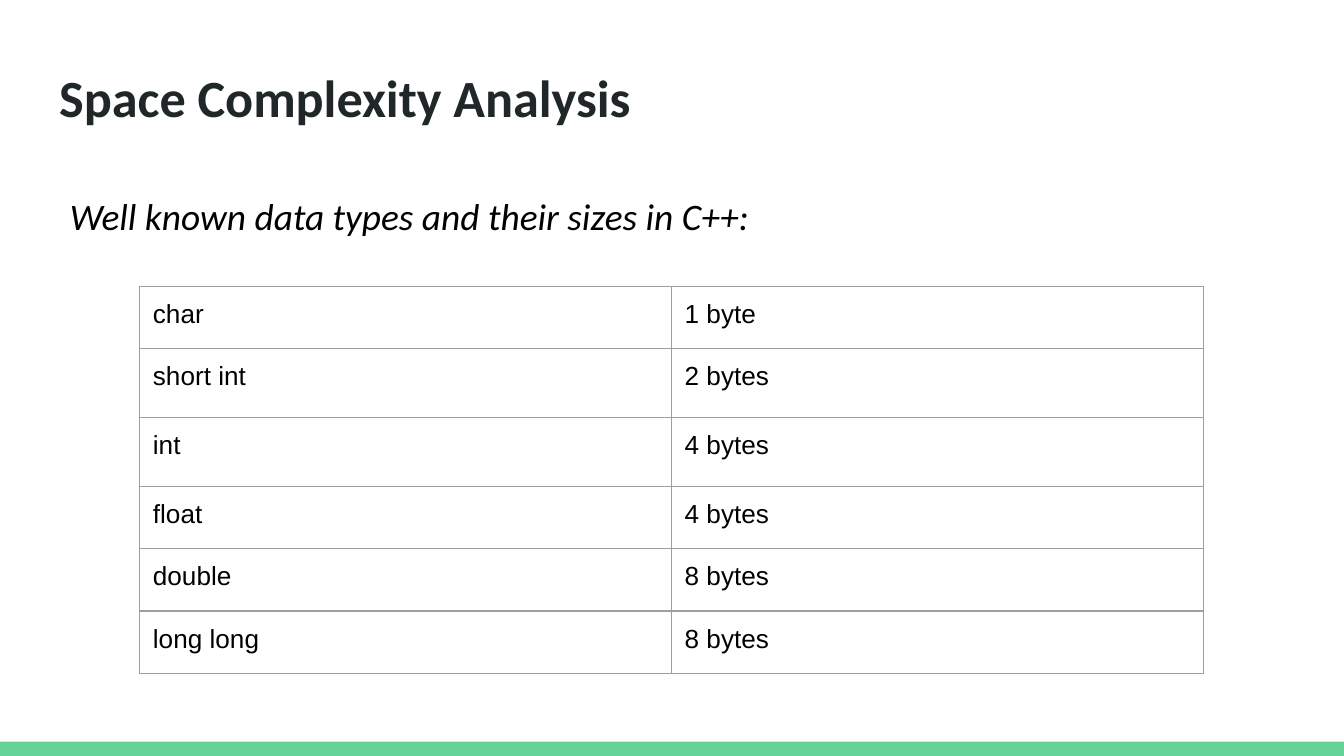
"""Build a slide that lists common C++ data types and their sizes."""
from lxml import etree
from pptx import Presentation
from pptx.dml.color import RGBColor
from pptx.enum import shapes, text
from pptx.oxml import ns
from pptx.util import Cm, Pt

TITLE = "Space Complexity Analysis"
LEAD = "Well known data types and their sizes in C++:"
TYPES = [
    ("char", "1 byte"),
    ("short int", "2 bytes"),
    ("int", "4 bytes"),
    ("float", "4 bytes"),
    ("double", "8 bytes"),
    ("long long", "8 bytes"),
]
TALL = {"short int", "int"}
THEME = {
    "head": {"font": "Calibri", "size": 28, "color": "202729", "bold": True},
    "lead": {"font": "Calibri", "size": 20, "color": "000000", "italic": True, "space": 1.15},
    "cell": {"font": "Arial", "size": 14, "color": "000000"},
    "bar": "63D297",
    "rule": "9E9E9E",
}
WIDTH, HEIGHT = Cm(25.4), Cm(14.29)
INSET = Cm(0.25)


def write(frame, words, font, size, color, bold=False, italic=False, space=None):
    frame.word_wrap = True
    frame.margin_left = frame.margin_right = INSET
    frame.margin_top = frame.margin_bottom = INSET
    frame.vertical_anchor = text.MSO_ANCHOR.TOP
    para = frame.paragraphs[0]
    para.line_spacing = space
    run = para.add_run()
    run.text = words
    face = run.font
    face.name, face.size = font, Pt(size)
    face.bold, face.italic = bold, italic
    face.color.rgb = RGBColor.from_string(color)


def border(cell):
    props = cell._tc.get_or_add_tcPr()
    for n, side in enumerate(("lnL", "lnR", "lnT", "lnB")):
        line = etree.Element(ns.qn(f"a:{side}"), w=str(Pt(0.75)))
        fill = etree.SubElement(line, ns.qn("a:solidFill"))
        etree.SubElement(fill, ns.qn("a:srgbClr"), val=THEME["rule"])
        props.insert(n, line)


def grid(slide):
    frame = slide.shapes.add_table(len(TYPES), 2, Cm(2.64), Cm(5.41), Cm(20.1), Cm(7.34))
    table = frame.table
    table.first_row = table.horz_banding = False
    for col in table.columns:
        col.width = Cm(10.05)
    for row, pair in zip(table.rows, TYPES):
        row.height = Cm(1.3 if pair[0] in TALL else 1.18)
        for cell, words in zip(row.cells, pair):
            write(cell.text_frame, words, **THEME["cell"])
            cell.margin_left = cell.margin_right = INSET
            cell.margin_top = cell.margin_bottom = INSET
            cell.vertical_anchor = text.MSO_ANCHOR.TOP
            cell.fill.background()
            border(cell)


def main():
    deck = Presentation()
    deck.slide_width, deck.slide_height = WIDTH, HEIGHT
    slide = deck.slides.add_slide(deck.slide_layouts[6])

    deep = Cm(0.27)
    bar = slide.shapes.add_shape(shapes.MSO_SHAPE.RECTANGLE, 0, HEIGHT - deep, WIDTH, deep)
    bar.shadow.inherit = False
    bar.fill.solid()
    bar.fill.fore_color.rgb = RGBColor.from_string(THEME["bar"])
    bar.line.fill.background()

    for words, style, left, top, high in (
        (TITLE, "head", 0.87, 0.99, 1.6),
        (LEAD, "lead", 1.07, 3.28, 9.8),
    ):
        box = slide.shapes.add_textbox(Cm(left), Cm(top), Cm(23.67), Cm(high))
        write(box.text_frame, words, **THEME[style])

    grid(slide)
    deck.save("out.pptx")


if __name__ == "__main__":
    main()
